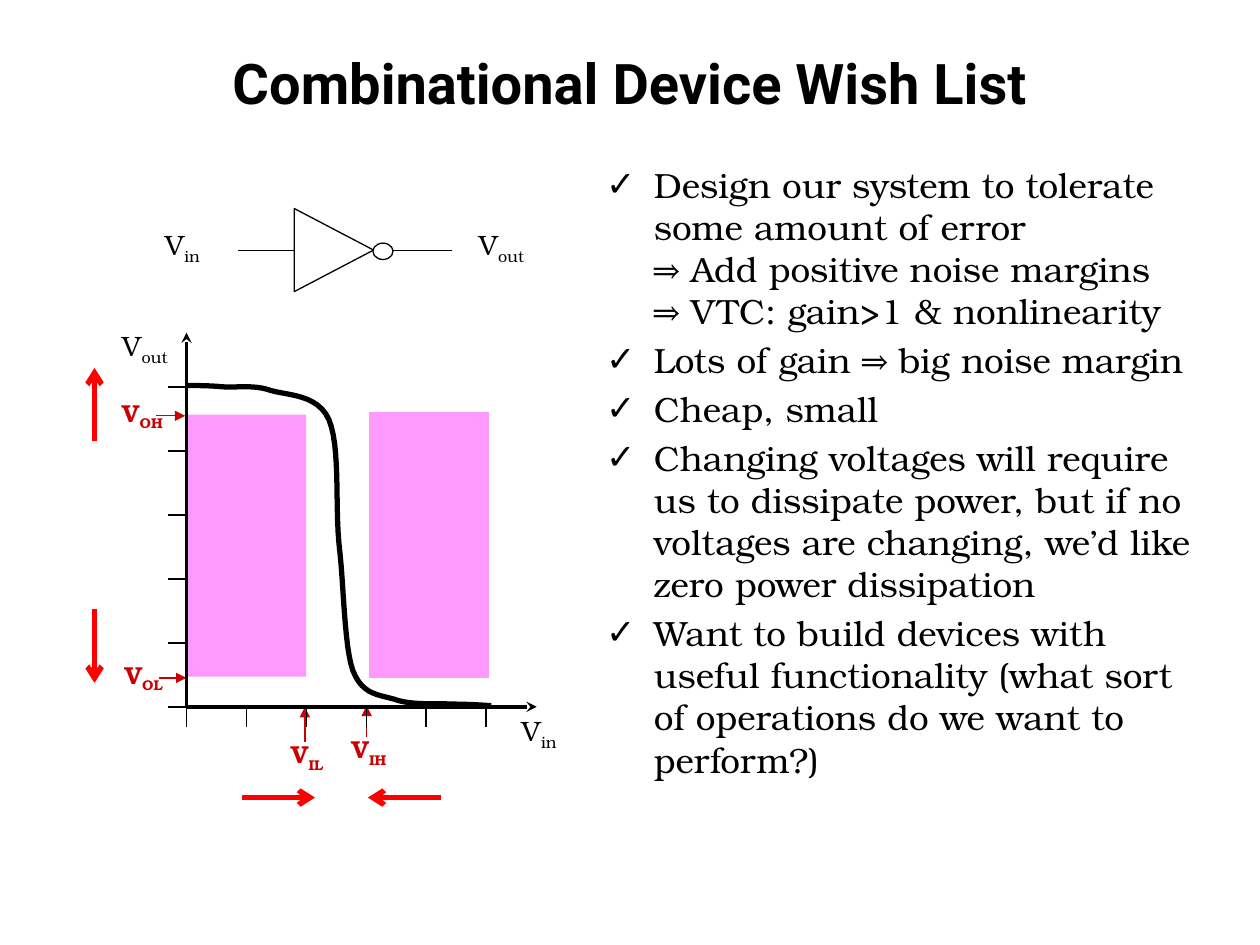
import pptx
import pptx.util
import pptx.dml.color
import pptx.enum.shapes
import pptx.enum.text
import pptx.oxml.ns
import lxml.etree

INK = {"black": "000000", "white": "FFFFFF", "pink": "FF99FF",
       "dark": "CC0000", "red": "FF0000"}
HEAD, BODY = "Roboto", "TeX Gyre Bonum"
KIND = pptx.enum.shapes.MSO_SHAPE
ALIGN = pptx.enum.text.PP_ALIGN
FIT = pptx.enum.text.MSO_AUTO_SIZE
MID = pptx.enum.text.MSO_ANCHOR.MIDDLE
COLS, ROWS = 100, 75

ITEMS = [
    "Design our system to tolerate some amount of error"
    "\v⇒ Add positive noise margins\v⇒ VTC: gain>1 & nonlinearity",
    "Lots of gain ⇒ big noise margin",
    "Cheap, small",
    "Changing voltages will require us to dissipate power, "
    "but if no voltages are changing, we’d like zero power dissipation",
    "Want to build devices with useful functionality "
    "(what sort of operations do we want to perform?)",
]
CURVE = [(14.8, 30.6),
         (15.3, 30.6), (16.5, 30.6), (17.6, 30.7),
         (18.7, 30.8), (20.1, 30.5), (21.5, 31),
         (22.9, 31.4), (25.2, 31.3), (26.1, 33.3),
         (27, 35.4), (26.6, 39.8), (26.9, 43.1),
         (27.3, 46.4), (27.3, 51.2), (28, 53.2),
         (28.8, 55.3), (30.2, 55.1), (31.6, 55.6),
         (33, 56), (35.2, 55.8), (36.4, 55.9),
         (37.7, 55.9), (38.5, 56), (39, 56)]


def sub(node, tag, **attrs):
    """Add a DrawingML child element."""
    return lxml.etree.SubElement(node, pptx.oxml.ns.qn("a:" + tag), attrs)


def trace(pts, steps=12):
    """Sample a chain of cubic curves."""
    out = [pts[0]]
    for i in range(0, len(pts) - 1, 3):
        for n in range(1, steps + 1):
            t = n / steps
            mix = ((1 - t) ** 3, 3 * t * (1 - t) ** 2, 3 * t * t * (1 - t), t ** 3)
            out.append(tuple(sum(w * p[k] for w, p in zip(mix, pts[i:i + 4]))
                             for k in (0, 1)))
    return out


class Deck:
    """Holds the style, the grid and the current slide."""

    def __init__(self):
        """Open a deck with one title and content slide."""
        self.prs = pptx.Presentation()
        self.prs.slide_width = pptx.util.Inches(10)
        self.prs.slide_height = pptx.util.Inches(7.5)
        self.slide = self.prs.slides.add_slide(self.prs.slide_layouts[1])
        self.shapes = self.slide.shapes

    def grid(self, *vals):
        """Turn alternating columns and rows into lengths."""
        unit = (self.prs.slide_width / COLS, self.prs.slide_height / ROWS)
        return [pptx.util.Emu(round(v * unit[i % 2])) for i, v in enumerate(vals)]

    def place(self, shape, box):
        """Move a shape to a box on the grid."""
        shape.left, shape.top, shape.width, shape.height = self.grid(*box)

    def tint(self, part, ink):
        """Give a fill or a font a solid colour."""
        part.rgb = pptx.dml.color.RGBColor.from_string(INK[ink])

    def font(self, run, face, size, ink="black", bold=False):
        """Format a run."""
        run.font.name, run.font.bold = face, bold
        run.font.size = pptx.util.Pt(size)
        self.tint(run.font.color, ink)

    def stroke(self, shape, ink, width):
        """Set an outline."""
        self.tint_line = shape.line.fill.solid()
        self.tint(shape.line.color, ink)
        shape.line.width = pptx.util.Pt(width)

    def title(self, text, box):
        """Fill the title placeholder."""
        shape = self.shapes.title
        self.place(shape, box)
        frame = shape.text_frame
        frame.text = text
        frame.vertical_anchor, frame.auto_size = MID, FIT.NONE
        frame.paragraphs[0].alignment = ALIGN.CENTER
        self.font(frame.paragraphs[0].runs[0], HEAD, 32, bold=True)

    def checks(self, items, box, size=20):
        """Fill the body placeholder with a ticked list."""
        shape = self.slide.placeholders[1]
        self.place(shape, box)
        frame = shape.text_frame
        frame.auto_size = FIT.NONE
        for i, item in enumerate(items):
            para = frame.add_paragraph() if i else frame.paragraphs[0]
            para.text = item
            para.space_before = pptx.util.Pt(size / 5)
            props = para._p.get_or_add_pPr()
            inset = str(pptx.util.Inches(0.38))
            props.set("marL", inset)
            props.set("indent", "-" + inset)
            sub(props, "buChar", char="✓")
            for run in para.runs:
                self.font(run, BODY, size)
            for gap in para._p.findall(pptx.oxml.ns.qn("a:br")):
                sub(gap, "rPr", sz=str(size * 100))

    def label(self, low, box, size=16, ink="black", bold=False, lead=0.9):
        """Write a voltage name with its subscript."""
        frame = self.shapes.add_textbox(*self.grid(*box)).text_frame
        frame.word_wrap, frame.auto_size = False, FIT.SHAPE_TO_FIT_TEXT
        para = frame.paragraphs[0]
        para.line_spacing = lead
        for text in ("V", low):
            run = para.add_run()
            run.text = text
            self.font(run, BODY, size, ink, bold)
        run.font._element.set("baseline", "-25000")

    def line(self, ends, ink="black", width=1, tip=None):
        """Draw a straight line, with an arrowhead if asked."""
        link = self.shapes.add_connector(
            pptx.enum.shapes.MSO_CONNECTOR.STRAIGHT, *self.grid(*ends))
        self.stroke(link, ink, width)
        if tip:
            sub(link.line._get_or_add_ln(), "tailEnd", type=tip)
        sub(link._element.spPr, "effectLst")

    def shape(self, kind, box, fill, edge=None, turn=0):
        """Draw a preset shape."""
        item = self.shapes.add_shape(kind, *self.grid(*box))
        item.shadow.inherit = False
        item.rotation = turn
        item.fill.solid()
        self.tint(item.fill.fore_color, fill)
        if edge:
            self.stroke(item, edge, 0.75)
        else:
            item.line.fill.background()

    def curve(self, pts, width):
        """Draw a smooth open curve."""
        dots = [self.grid(*p) for p in trace(pts)]
        pen = self.shapes.build_freeform(*dots[0])
        pen.add_line_segments(dots[1:], close=False)
        item = pen.convert_to_shape()
        item.shadow.inherit = False
        item.fill.background()
        self.stroke(item, "black", width)


def main():
    """Build the slide."""
    deck = Deck()
    deck.title("Combinational Device Wish List", (5, 3, 90, 7))
    deck.checks(ITEMS, (47.1, 12.5, 48.6, 55.8))

    left, base = 14.8, 56.1
    for box in ((left, 32.9, 9.5, 20.8), (29.3, 32.7, 9.5, 21.1)):
        deck.shape(KIND.RECTANGLE, box, "pink")

    limits = [("OL", (8.9, 51.9, 5.3, 3.4), (12.6, 53.8, left, 53.8)),
              ("IL", (22.1, 58.2, 4.8, 3.4), (24.2, 58.9, 24.2, base)),
              ("IH", (26.9, 57.8, 5, 3.4), (29.1, 58.5, 29.1, 56)),
              ("OH", (8.7, 31.1, 5.6, 3.4), (12.4, 33, 14.7, 33))]
    for low, box, ends in limits:
        deck.label(low, box, 14, "dark", True, 1)
        deck.line(ends, "dark", 0.75, "triangle")

    for end in ((left, 26.4), (42.6, base)):
        deck.line((left, base, *end), width=2, tip="stealth")
    for i in range(6):
        x, y = left + 4.76 * i, base - 5.08 * i
        deck.line((x, base, x, base + 1.6))
        deck.line((left, y, left - 1.5, y))
    deck.curve(CURVE, 3)

    deck.line((18.9, 19.9, 35.9, 19.9), width=0.75)
    deck.shape(KIND.ISOSCELES_TRIANGLE, (23.2, 16.7, 6.6, 6.3), "white", "black", 90)
    deck.shape(KIND.OVAL, (29.6, 19.3, 1.6, 1.3), "white", "black")
    for low, x, y, wide in (("in", 12.1, 17.6, 5.1), ("out", 37, 17.6, 6),
                            ("out", 8.7, 25.6, 6), ("in", 40.4, 56.2, 5.1)):
        deck.label(low, (x, y, wide, 3.5))

    for ends in ((7.5, 35, 7.5, 29.2), (7.5, 48.3, 7.5, 54.2),
                 (19.2, 63.3, 25, 63.3), (35, 63.3, 29.2, 63.3)):
        deck.line(ends, "red", 3, "arrow")
    deck.prs.save("out.pptx")


if __name__ == "__main__":
    main()
